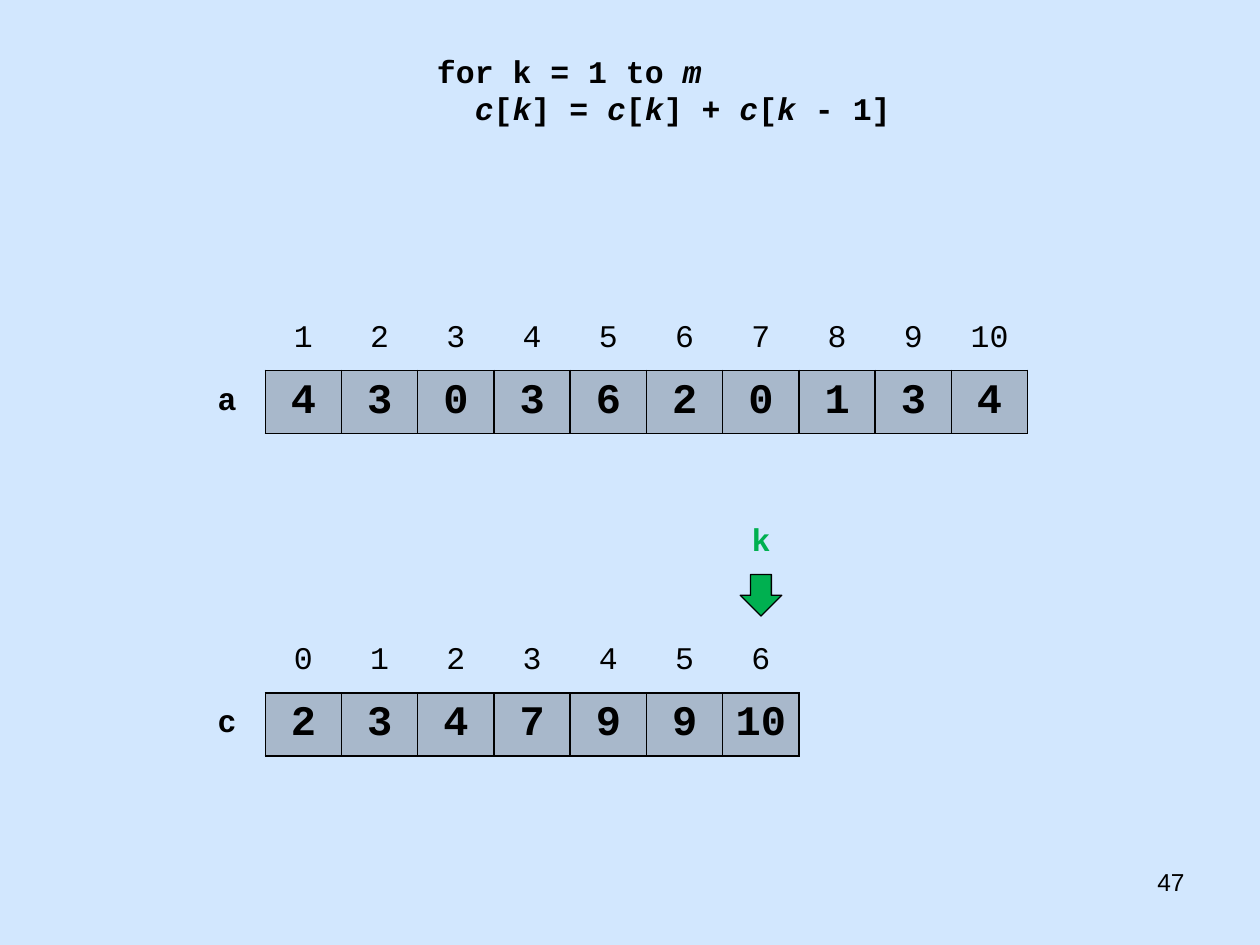
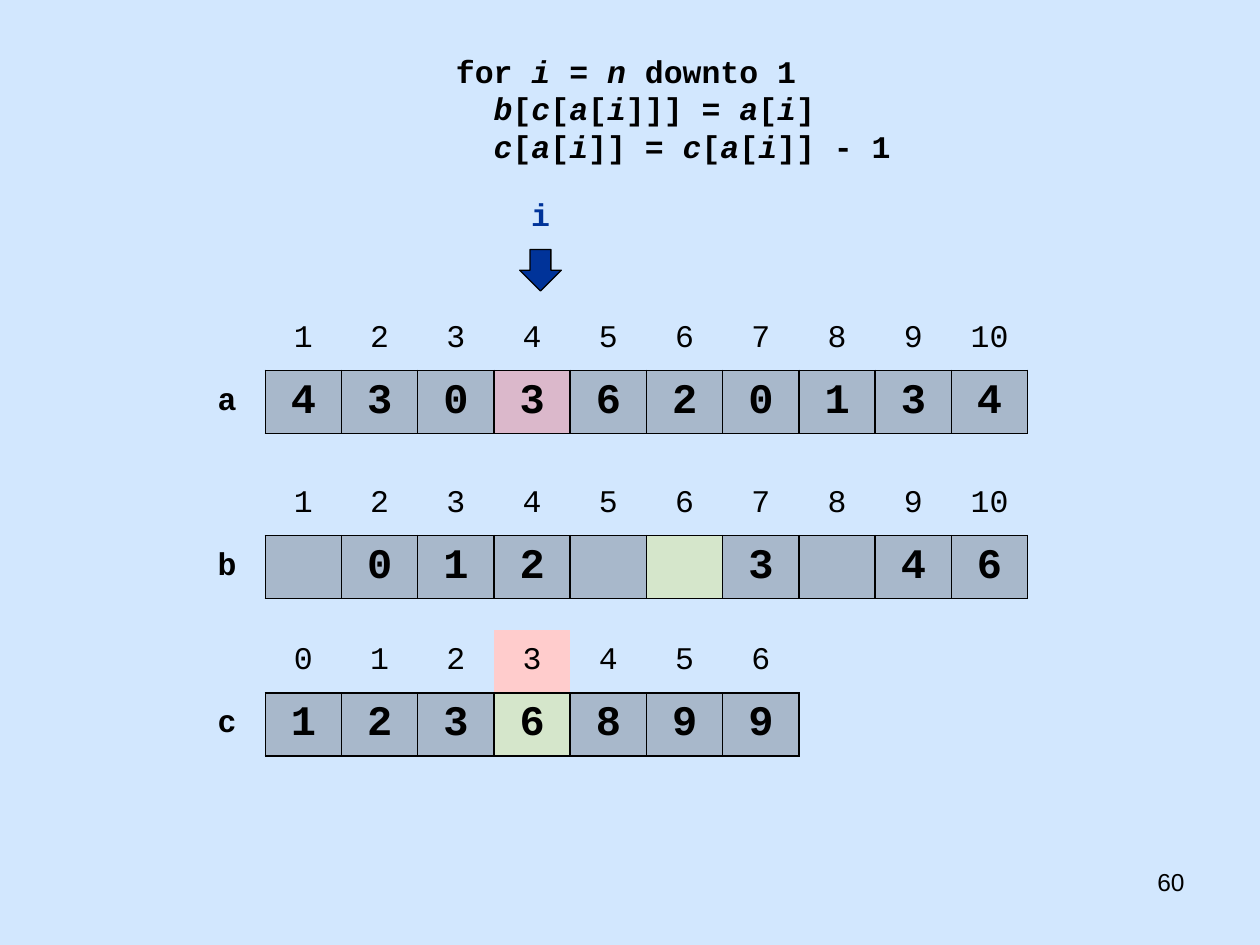
import pptx
import pptx.util
import pptx.dml.color
import pptx.enum.shapes
import pptx.enum.text
import lxml.etree
from pptx.util import Inches

BACKGROUND = "D2E7FE"
BLACK = "000000"
PINK = "FFCCCC"
RED = "FF0000"
YELLOW = "E5E500"
GREEN = "00B050"
BLUE = "003399"
CODE_FONT = "Courier New"
NO_STYLE = "{2D5ABB26-0587-4C30-8999-92F81FD0307C}"
NS = "http://schemas.openxmlformats.org/drawingml/2006/main"
ALIGN = pptx.enum.text.PP_ALIGN
COLUMN = Inches(6.66) // 11
ROW = Inches(0.5)
CHAR = Inches(0.15)
ARRAY_LEFT = Inches(1.5)
A_VALUES = [4, 3, 0, 3, 6, 2, 0, 1, 3, 4]


def rgb(value):
    """Turn a hex string into a colour."""
    return pptx.dml.color.RGBColor.from_string(value)


def add_run(p, text, size=18, font=CODE_FONT, color=BLACK, bold=False, italic=False):
    """Append one formatted run to a paragraph."""
    r = p.add_run()
    r.text = text
    r.font.size = pptx.util.Pt(size)
    r.font.name = font
    r.font.color.rgb = rgb(color)
    r.font.bold = bold
    r.font.italic = italic


def add_text_frame(s, left, top, width, height):
    """Add a wrapping text box and return its frame."""
    tf = s.shapes.add_textbox(left, top, width, height).text_frame
    tf.word_wrap = True
    return tf


def border_cell(cell, sides):
    """Draw a thin black line on the given sides and none on the others."""
    tc_pr = cell._tc.get_or_add_tcPr()
    for side in "LRTB":
        width = "12700" if side in sides else "0"
        ln = lxml.etree.SubElement(tc_pr, f"{{{NS}}}ln{side}", w=width)
        if side in sides:
            fill = lxml.etree.SubElement(ln, f"{{{NS}}}solidFill")
            lxml.etree.SubElement(fill, f"{{{NS}}}srgbClr", val=BLACK)
        else:
            lxml.etree.SubElement(ln, f"{{{NS}}}noFill")


def fill_cell(cell, color, alpha=100):
    """Fill a cell, with opacity in percent, or leave it clear."""
    if color is None:
        cell.fill.background()
        return
    cell.fill.solid()
    cell.fill.fore_color.rgb = rgb(color)
    if alpha < 100:
        for clr in cell._tc.tcPr.findall(f"{{{NS}}}solidFill/{{{NS}}}srgbClr"):
            lxml.etree.SubElement(clr, f"{{{NS}}}alpha", val=str(alpha * 1000))


def set_cell(cell, text, sides="", color=None, alpha=100, **style):
    """Give a cell its borders, fill and centred text."""
    border_cell(cell, sides)
    fill_cell(cell, color, alpha)
    cell.vertical_anchor = pptx.enum.text.MSO_ANCHOR.MIDDLE
    p = cell.text_frame.paragraphs[0]
    p.alignment = ALIGN.CENTER
    if text != "":
        add_run(p, str(text), **style)


def add_array(s, top, name, values, first=1, index_marks={}, value_marks={}):
    """Add a named array with indices above its values."""
    count = len(values) + 1
    frame = s.shapes.add_table(2, count, ARRAY_LEFT, top, COLUMN * count, ROW * 2)
    table = frame.table
    table.first_row = table.horz_banding = False
    table._tbl.tblPr.find(f"{{{NS}}}tableStyleId").text = NO_STYLE
    for column in table.columns:
        column.width = COLUMN
    set_cell(table.cell(0, 0), "")
    set_cell(table.cell(1, 0), name, "R", bold=True)
    for col, value in enumerate(values, 1):
        index = first + col - 1
        set_cell(table.cell(0, col), index, "B", index_marks.get(index))
        set_cell(table.cell(1, col), value, "LRTB", value_marks.get(index, BLACK), 20,
                 size=24, bold=True)


def add_pointer(s, left, top, name, color):
    """Add a variable name with a down arrow below it."""
    width, side = Inches(2.08), Inches(0.33)
    p = add_text_frame(s, left, top, width, Inches(0.4)).paragraphs[0]
    p.alignment = ALIGN.CENTER
    add_run(p, name, color=color, bold=True)
    arrow = s.shapes.add_shape(pptx.enum.shapes.MSO_SHAPE.DOWN_ARROW,
                               left + (width - side) // 2, top + Inches(0.48), side, side)
    arrow.shadow.inherit = False
    arrow.fill.solid()
    arrow.fill.fore_color.rgb = rgb(color)
    arrow.line.color.rgb = rgb(BLACK)
    arrow.line.width = pptx.util.Pt(0.75)


def add_code(s, lines, indent=0):
    """Add a loop whose body is indented; asterisks enclose italics."""
    tf = add_text_frame(s, Inches(3.37), Inches(0.36), Inches(4), Inches(0.11 + 0.3 * len(lines)))
    for i, line in enumerate(lines):
        p = tf.add_paragraph() if i else tf.paragraphs[0]
        depth = indent + (2 if i else 0)
        p._p.get_or_add_pPr().set("marL", str(CHAR * depth))
        for j, part in enumerate(line.split("*")):
            if part:
                add_run(p, part, bold=True, italic=j % 2 == 1)


def add_base_slide(prs, number):
    """Add a slide with the shared background and page number."""
    s = prs.slides.add_slide(prs.slide_layouts[6])
    s.background.fill.solid()
    s.background.fill.fore_color.rgb = rgb(BACKGROUND)
    p = add_text_frame(s, Inches(7.17), Inches(6.83), Inches(2.33), Inches(0.52)).paragraphs[0]
    p.alignment = ALIGN.RIGHT
    add_run(p, str(number), size=14, font="Arial")
    return s


def add_prefix_sum_slide(prs):
    """Show the end of the pass that sums the counts."""
    s = add_base_slide(prs, 47)
    add_array(s, Inches(2.44), "a", A_VALUES)
    add_array(s, Inches(5), "c", [2, 3, 4, 7, 9, 9, 10], first=0)
    add_pointer(s, Inches(5), Inches(4.08), "k", GREEN)
    add_code(s, ["for k = 1 to *m*", "*c*[*k*] = *c*[*k*] + *c*[*k* - 1]"])


def add_placement_slide(prs):
    """Show one step of placing values into the sorted array."""
    s = add_base_slide(prs, 60)
    add_array(s, Inches(2.44), "a", A_VALUES, value_marks={4: RED})
    add_array(s, Inches(5), "c", [1, 2, 3, 6, 8, 9, 9], first=0,
              index_marks={3: PINK}, value_marks={3: YELLOW})
    add_code(s, ["for *i* = *n* downto 1",
                 "*b*[*c*[*a*[*i*]]] = *a*[*i*]",
                 "*c*[*a*[*i*]] = *c*[*a*[*i*]] - 1"], indent=1)
    add_array(s, Inches(3.75), "b", ["", 0, 1, 2, "", "", 3, "", 4, 6],
              value_marks={6: YELLOW})
    add_pointer(s, Inches(3.25), Inches(1.5), "i", BLUE)


def main():
    """Build and save the presentation."""
    prs = pptx.Presentation()
    prs.slide_width, prs.slide_height = Inches(10), Inches(7.5)
    add_prefix_sum_slide(prs)
    add_placement_slide(prs)
    prs.save("out.pptx")


if __name__ == "__main__":
    main()
